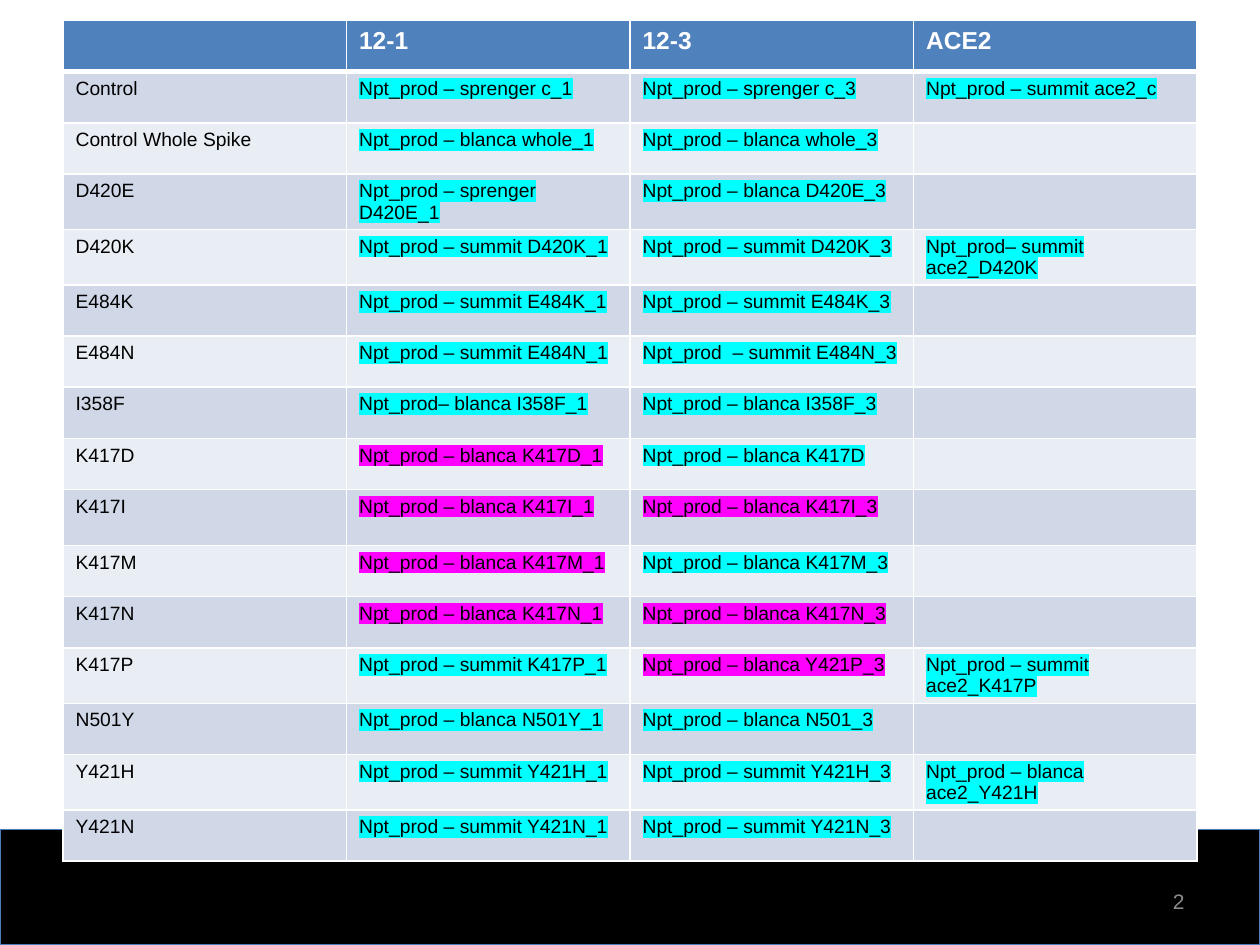
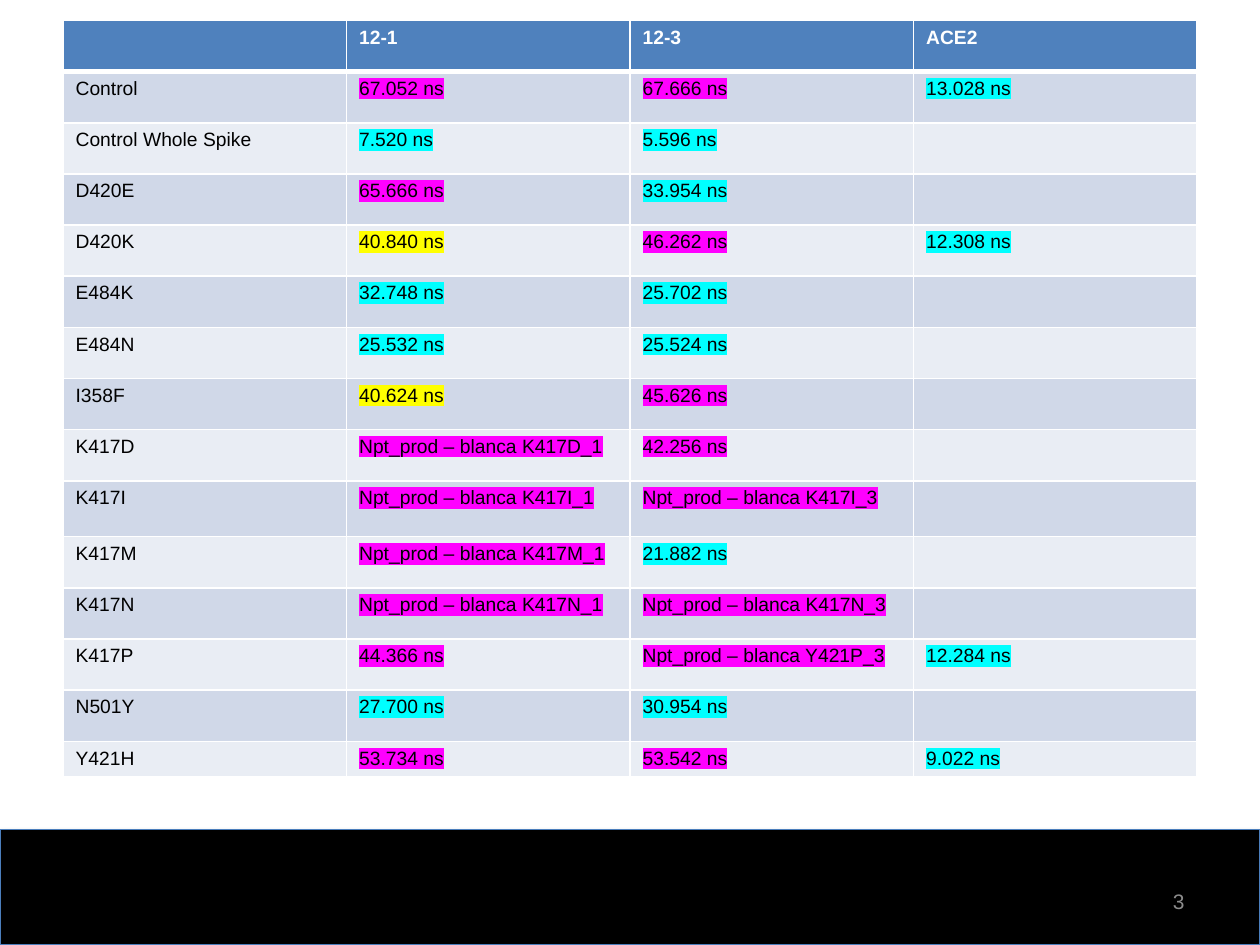
from lxml import etree
from pptx import Presentation
from pptx.dml.color import RGBColor
from pptx.enum.shapes import MSO_SHAPE
from pptx.enum.text import MSO_ANCHOR, PP_ALIGN
from pptx.oxml.ns import qn
from pptx.util import Pt

RECTANGLE = MSO_SHAPE.RECTANGLE
MIDDLE = MSO_ANCHOR.MIDDLE
RIGHT = PP_ALIGN.RIGHT

BLACK = RGBColor(0x00, 0x00, 0x00)
WHITE = RGBColor(0xFF, 0xFF, 0xFF)
BAND_LINE = RGBColor(0x4B, 0x7E, 0xBC)
HEADER_BLUE = RGBColor(0x4F, 0x81, 0xBD)
ODD_ROW = RGBColor(0xD0, 0xD8, 0xE8)
EVEN_ROW = RGBColor(0xE9, 0xED, 0xF4)
NUMBER_GREY = RGBColor(0x8C, 0x8C, 0x8C)
CYAN = RGBColor(0x00, 0xFF, 0xFF)
MAGENTA = RGBColor(0xFF, 0x00, 0xFF)
YELLOW = RGBColor(0xFF, 0xFF, 0x00)

FONT = "Arial"
BODY_SIZE = 11
SLIDE_WIDTH, SLIDE_HEIGHT = 720, 540
BAND_TOP = 474
TABLE_LEFT, TABLE_TOP, TABLE_WIDTH = 36, 11.7, 648
ROW_HEIGHT = 29.25
SPECIAL_HEIGHTS = {"K417I": 32, "Y421H": 19.5}

HEADERS = ["", "12-1", "12-3", "ACE2"]

RUN_NAMES = [
    ("Control", (CYAN, "Npt_prod – sprenger c_1"), (CYAN, "Npt_prod – sprenger c_3"),
     (CYAN, "Npt_prod – summit ace2_c")),
    ("Control Whole Spike", (CYAN, "Npt_prod – blanca whole_1"), (CYAN, "Npt_prod – blanca whole_3")),
    ("D420E", (CYAN, "Npt_prod – sprenger D420E_1"), (CYAN, "Npt_prod – blanca D420E_3")),
    ("D420K", (CYAN, "Npt_prod – summit D420K_1"), (CYAN, "Npt_prod – summit D420K_3"),
     (CYAN, "Npt_prod– summit ace2_D420K")),
    ("E484K", (CYAN, "Npt_prod – summit E484K_1"), (CYAN, "Npt_prod – summit E484K_3")),
    ("E484N", (CYAN, "Npt_prod – summit E484N_1"), (CYAN, "Npt_prod  – summit E484N_3")),
    ("I358F", (CYAN, "Npt_prod– blanca I358F_1"), (CYAN, "Npt_prod – blanca I358F_3")),
    ("K417D", (MAGENTA, "Npt_prod – blanca K417D_1"), (CYAN, "Npt_prod – blanca K417D")),
    ("K417I", (MAGENTA, "Npt_prod – blanca K417I_1"), (MAGENTA, "Npt_prod – blanca K417I_3")),
    ("K417M", (MAGENTA, "Npt_prod – blanca K417M_1"), (CYAN, "Npt_prod – blanca K417M_3")),
    ("K417N", (MAGENTA, "Npt_prod – blanca K417N_1"), (MAGENTA, "Npt_prod – blanca K417N_3")),
    ("K417P", (CYAN, "Npt_prod – summit K417P_1"), (MAGENTA, "Npt_prod – blanca Y421P_3"),
     (CYAN, "Npt_prod – summit ace2_K417P")),
    ("N501Y", (CYAN, "Npt_prod – blanca N501Y_1"), (CYAN, "Npt_prod – blanca N501_3")),
    ("Y421H", (CYAN, "Npt_prod – summit Y421H_1"), (CYAN, "Npt_prod – summit Y421H_3"),
     (CYAN, "Npt_prod – blanca ace2_Y421H")),
    ("Y421N", (CYAN, "Npt_prod – summit Y421N_1"), (CYAN, "Npt_prod – summit Y421N_3")),
]

RUN_TIMES = [
    ("Control", (MAGENTA, "67.052 ns"), (MAGENTA, "67.666 ns"), (CYAN, "13.028 ns")),
    ("Control Whole Spike", (CYAN, "7.520 ns"), (CYAN, "5.596 ns")),
    ("D420E", (MAGENTA, "65.666 ns"), (CYAN, "33.954 ns")),
    ("D420K", (YELLOW, "40.840 ns"), (MAGENTA, "46.262 ns"), (CYAN, "12.308 ns")),
    ("E484K", (CYAN, "32.748 ns"), (CYAN, "25.702 ns")),
    ("E484N", (CYAN, "25.532 ns"), (CYAN, "25.524 ns")),
    ("I358F", (YELLOW, "40.624 ns"), (MAGENTA, "45.626 ns")),
    ("K417D", (MAGENTA, "Npt_prod – blanca K417D_1"), (MAGENTA, "42.256 ns")),
    ("K417I", (MAGENTA, "Npt_prod – blanca K417I_1"), (MAGENTA, "Npt_prod – blanca K417I_3")),
    ("K417M", (MAGENTA, "Npt_prod – blanca K417M_1"), (CYAN, "21.882 ns")),
    ("K417N", (MAGENTA, "Npt_prod – blanca K417N_1"), (MAGENTA, "Npt_prod – blanca K417N_3")),
    ("K417P", (MAGENTA, "44.366 ns"), (MAGENTA, "Npt_prod – blanca Y421P_3"), (CYAN, "12.284 ns")),
    ("N501Y", (CYAN, "27.700 ns"), (CYAN, "30.954 ns")),
    ("Y421H", (MAGENTA, "53.734 ns"), (MAGENTA, "53.542 ns"), (CYAN, "9.022 ns")),
]

SLIDES = [
    {"number": "2", "header_size": 14, "rows": RUN_NAMES},
    {"number": "3", "header_size": 11, "rows": RUN_TIMES},
]


def add_color(parent, color, alpha=None):
    srgb = etree.SubElement(parent, qn("a:srgbClr"), val=str(color))
    if alpha is not None:
        etree.SubElement(srgb, qn("a:alpha"), val=str(alpha * 1000))


def style_text(paragraph, size, color, bold=False, highlight=None):
    for run in paragraph.runs:
        run.font.name = FONT
        run.font.size = Pt(size)
        run.font.bold = bold
        run.font.color.rgb = color
        if highlight is not None:
            marker = etree.Element(qn("a:highlight"))
            add_color(marker, highlight)
            run._r.get_or_add_rPr().find(qn("a:solidFill")).addnext(marker)


def add_band(slide):
    band = slide.shapes.add_shape(RECTANGLE, 0, Pt(BAND_TOP), Pt(SLIDE_WIDTH),
                                  Pt(SLIDE_HEIGHT - BAND_TOP))
    band.fill.solid()
    band.fill.fore_color.rgb = BLACK
    band.line.color.rgb = BAND_LINE
    band.line.width = Pt(0.75)
    band.shadow.inherit = False
    effects = band._element.spPr.find(qn("a:effectLst"))
    shadow = etree.SubElement(effects, qn("a:outerShdw"), blurRad=str(Pt(3.1)),
                              dist=str(Pt(1.8)), dir="5400000", rotWithShape="0")
    add_color(shadow, BLACK, alpha=35)


def add_slide_number(slide, number):
    box = slide.shapes.add_textbox(Pt(516), Pt(500.5), Pt(168), Pt(28.75))
    frame = box.text_frame
    frame.word_wrap = True
    frame.vertical_anchor = MIDDLE
    frame.text = number
    frame.paragraphs[0].alignment = RIGHT
    style_text(frame.paragraphs[0], 12, NUMBER_GREY)


def style_cell(cell, row_index):
    widths = {"L": 1, "R": 1, "T": 3 if row_index == 1 else 1, "B": 3 if row_index == 0 else 1}
    properties = cell._tc.get_or_add_tcPr()
    for side, width in widths.items():
        border = etree.SubElement(properties, qn("a:ln" + side), w=str(Pt(width)))
        add_color(etree.SubElement(border, qn("a:solidFill")), WHITE)
    cell.fill.solid()
    cell.fill.fore_color.rgb = HEADER_BLUE if row_index == 0 else (EVEN_ROW, ODD_ROW)[row_index % 2]


def add_mutation_table(slide, rows, header_size):
    row_count = len(rows) + 1
    table = slide.shapes.add_table(row_count, len(HEADERS), Pt(TABLE_LEFT), Pt(TABLE_TOP),
                                   Pt(TABLE_WIDTH), Pt(ROW_HEIGHT * row_count)).table
    for column in table.columns:
        column.width = Pt(TABLE_WIDTH / len(HEADERS))
    for row_index in range(row_count):
        for column_index in range(len(HEADERS)):
            style_cell(table.cell(row_index, column_index), row_index)

    for column_index, header in enumerate(HEADERS):
        paragraph = table.cell(0, column_index).text_frame.paragraphs[0]
        paragraph.text = header
        style_text(paragraph, header_size, WHITE, bold=True)

    for row_index, (mutation, *entries) in enumerate(rows, start=1):
        table.rows[row_index].height = Pt(SPECIAL_HEIGHTS.get(mutation, ROW_HEIGHT))
        for column_index, (highlight, entry) in enumerate([(None, mutation), *entries]):
            paragraph = table.cell(row_index, column_index).text_frame.paragraphs[0]
            paragraph.text = entry
            style_text(paragraph, BODY_SIZE, BLACK, highlight=highlight)


def main():
    presentation = Presentation()
    presentation.slide_width = Pt(SLIDE_WIDTH)
    presentation.slide_height = Pt(SLIDE_HEIGHT)
    blank_layout = presentation.slide_layouts[6]
    for content in SLIDES:
        slide = presentation.slides.add_slide(blank_layout)
        add_band(slide)
        add_mutation_table(slide, content["rows"], content["header_size"])
        add_slide_number(slide, content["number"])
    presentation.save("out.pptx")


if __name__ == "__main__":
    main()
